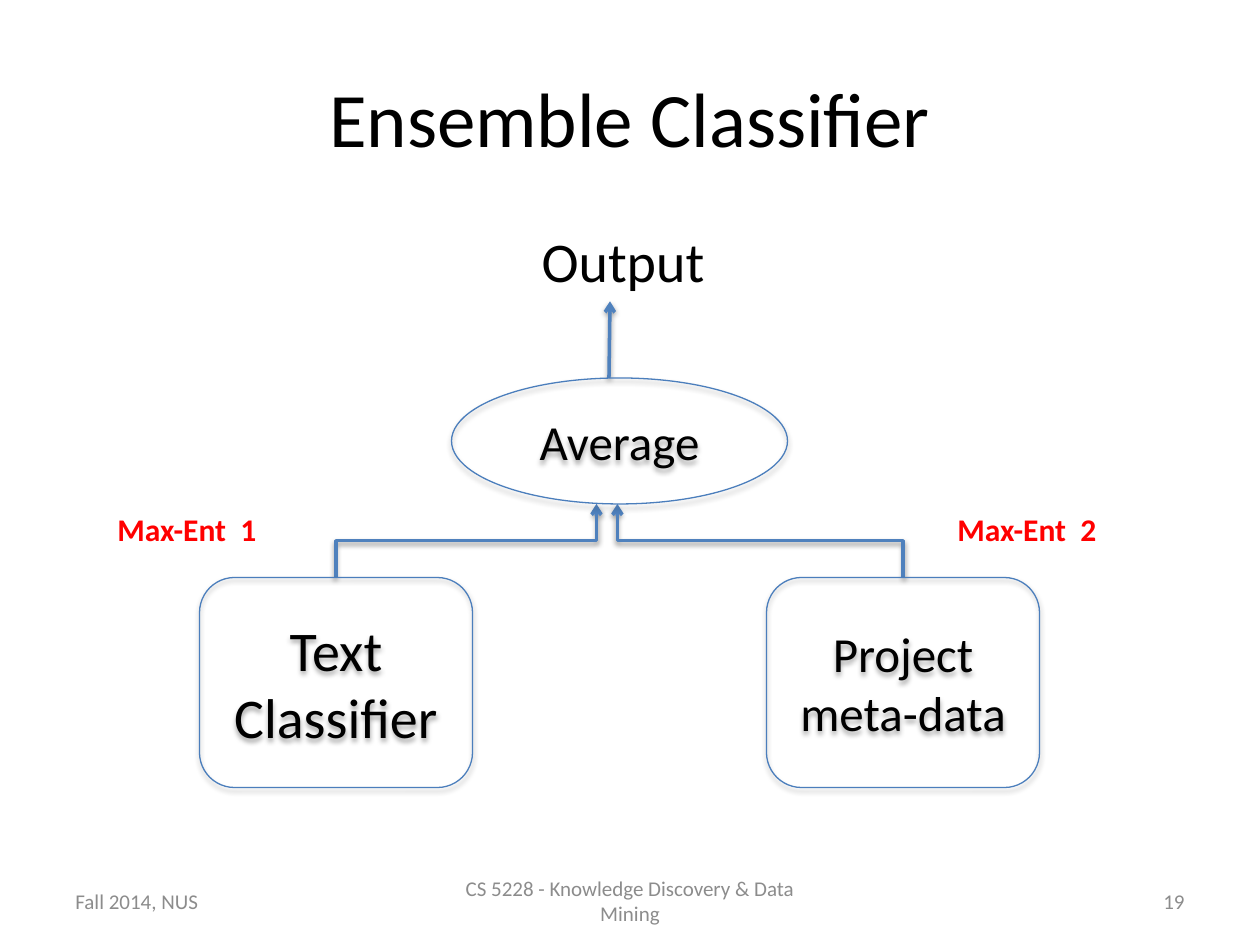
from dataclasses import dataclass
from typing import Any

import lxml.etree
import pptx
import pptx.dml.color
import pptx.enum.shapes
import pptx.enum.text
import pptx.oxml.ns
import pptx.util

Align = pptx.enum.text.PP_ALIGN
Anchor = pptx.enum.text.MSO_ANCHOR
Shape = pptx.enum.shapes.MSO_SHAPE
Connector = pptx.enum.shapes.MSO_CONNECTOR
qualified = pptx.oxml.ns.qn

COLUMNS, ROWS = 120, 90
SLIDE_WIDTH, SLIDE_HEIGHT = pptx.util.Inches(10), pptx.util.Inches(7.5)


@dataclass(frozen=True)
class Theme:
    font: str = "Calibri"
    ink: str = "000000"
    muted: str = "8C8C8C"
    accent: str = "FF0000"
    outline: str = "4B7EBC"
    arrow: str = "4F81BD"
    title_size: int = 44
    large_size: int = 32
    medium_size: int = 28
    label_size: int = 18
    footer_size: int = 12
    outline_width: float = 0.75
    arrow_width: float = 2


THEME = Theme()


@dataclass(frozen=True)
class Area:
    column: float
    row: float
    columns: float
    rows: float


@dataclass(frozen=True)
class Caption:
    text: str
    area: Area
    size: int
    color: str = THEME.ink
    align: Any = Align.LEFT
    anchor: Any = Anchor.TOP
    bold: bool = False
    wrap: bool = True


@dataclass(frozen=True)
class Node:
    text: str
    area: Area
    size: int
    kind: Any


@dataclass(frozen=True)
class Arrow:
    start: tuple[float, float]
    end: tuple[float, float]
    bent: bool = False


FOOTER_ROW, FOOTER_ROWS = 83.4, 4.8
LABEL_ROW, LABEL_ROWS, LABEL_COLUMNS = 48, 4.8, 17
INPUT_ROW, INPUT_ROWS, INPUT_COLUMNS = 55, 20, 26

CAPTIONS = [
    Caption("Ensemble Classifier", Area(6, 3.6, 108, 15), THEME.title_size,
            align=Align.CENTER, anchor=Anchor.MIDDLE),
    Caption("Output", Area(50.4, 21, 18.5, 7.7), THEME.large_size, wrap=False),
    *(Caption(text, Area(column, FOOTER_ROW, columns, FOOTER_ROWS), THEME.footer_size,
              THEME.muted, align, Anchor.MIDDLE)
      for text, column, columns, align in (
          ("Fall 2014, NUS", 6, 28, Align.LEFT),
          ("CS 5228 - Knowledge Discovery & Data Mining", 41, 38, Align.CENTER),
          ("19", 86, 28, Align.RIGHT))),
    *(Caption(text, Area(column, LABEL_ROW, LABEL_COLUMNS, LABEL_ROWS), THEME.label_size,
              THEME.accent, bold=True)
      for text, column in (("Max-Ent  1", 10), ("Max-Ent  2", 90))),
]
NODES = [
    Node("Text Classifier", Area(19, INPUT_ROW, INPUT_COLUMNS, INPUT_ROWS),
         THEME.large_size, Shape.ROUNDED_RECTANGLE),
    Node("Project meta-data", Area(73, INPUT_ROW, INPUT_COLUMNS, INPUT_ROWS),
         THEME.medium_size, Shape.ROUNDED_RECTANGLE),
    Node("Average", Area(43, 36, 32, 12), THEME.medium_size, Shape.OVAL),
]
ARROWS = [
    Arrow((86, INPUT_ROW), (58.8, 48), bent=True),
    Arrow((32, INPUT_ROW), (56.8, 48), bent=True),
    Arrow((58, 36), (58.1, 28.7)),
]


def across(columns: float) -> int:
    return round(SLIDE_WIDTH * columns / COLUMNS)


def down(rows: float) -> int:
    return round(SLIDE_HEIGHT * rows / ROWS)


def place(area: Area) -> tuple[int, int, int, int]:
    return across(area.column), down(area.row), across(area.columns), down(area.rows)


def rgb(color: str) -> pptx.dml.color.RGBColor:
    return pptx.dml.color.RGBColor.from_string(color)


def write(box: Any, text: str, size: int, color: str, align: Any, anchor: Any,
          bold: bool = False, wrap: bool = True) -> None:
    frame = box.text_frame
    frame.word_wrap = wrap
    frame.vertical_anchor = anchor
    para = frame.paragraphs[0]
    para.alignment = align
    span = para.add_run()
    span.text = text
    span.font.name = THEME.font
    span.font.size = pptx.util.Pt(size)
    span.font.bold = bold
    span.font.color.rgb = rgb(color)


def stroke(item: Any, color: str, width: float) -> None:
    item.line.color.rgb = rgb(color)
    item.line.width = pptx.util.Pt(width)


def cast_shadow(item: Any, opacity: int, distance: float) -> None:
    properties = item._element.spPr
    effects = properties.find(qualified("a:effectLst"))
    if effects is None:
        effects = lxml.etree.SubElement(properties, qualified("a:effectLst"))
    shadow = lxml.etree.SubElement(
        effects, qualified("a:outerShdw"), blurRad=str(pptx.util.Pt(3.1)),
        dist=str(pptx.util.Pt(distance)), dir="5400000", rotWithShape="0")
    tint = lxml.etree.SubElement(shadow, qualified("a:srgbClr"), val=THEME.ink)
    lxml.etree.SubElement(tint, qualified("a:alpha"), val=str(opacity * 1000))


def draw_caption(page: Any, caption: Caption) -> None:
    box = page.shapes.add_textbox(*place(caption.area))
    write(box, caption.text, caption.size, caption.color, caption.align,
          caption.anchor, caption.bold, caption.wrap)


def draw_node(page: Any, node: Node) -> None:
    box = page.shapes.add_shape(node.kind, *place(node.area))
    box.fill.background()
    stroke(box, THEME.outline, THEME.outline_width)
    box.shadow.inherit = False
    cast_shadow(box, 35, 1.8)
    write(box, node.text, node.size, THEME.ink, Align.CENTER, Anchor.MIDDLE)


def add_upright_elbow(page: Any, x1: int, y1: int, x2: int, y2: int) -> Any:
    middle_x, middle_y = (x1 + x2) // 2, (y1 + y2) // 2
    half_run, half_rise = abs(x2 - x1) // 2, abs(y2 - y1) // 2
    rightward = x2 > x1
    side = half_rise if rightward else -half_rise
    line = page.shapes.add_connector(
        Connector.ELBOW, middle_x + side, middle_y + half_run,
        middle_x - side, middle_y - half_run)
    frame = line._element.spPr.find(qualified("a:xfrm"))
    frame.set("rot", str((90 if rightward else 270) * 60000))
    return line


def draw_arrow(page: Any, arrow: Arrow) -> None:
    points = [length for column, row in (arrow.start, arrow.end)
              for length in (across(column), down(row))]
    if arrow.bent:
        line = add_upright_elbow(page, *points)
    else:
        line = page.shapes.add_connector(Connector.STRAIGHT, *points)
    stroke(line, THEME.arrow, THEME.arrow_width)
    lxml.etree.SubElement(line.line._get_or_add_ln(), qualified("a:tailEnd"), type="arrow")
    cast_shadow(line, 38, 1.6)


def main() -> None:
    deck = pptx.Presentation()
    deck.slide_width, deck.slide_height = SLIDE_WIDTH, SLIDE_HEIGHT
    page = deck.slides.add_slide(deck.slide_layouts[6])
    for draw, items in ((draw_caption, CAPTIONS), (draw_arrow, ARROWS), (draw_node, NODES)):
        for item in items:
            draw(page, item)
    deck.save("out.pptx")


if __name__ == "__main__":
    main()
